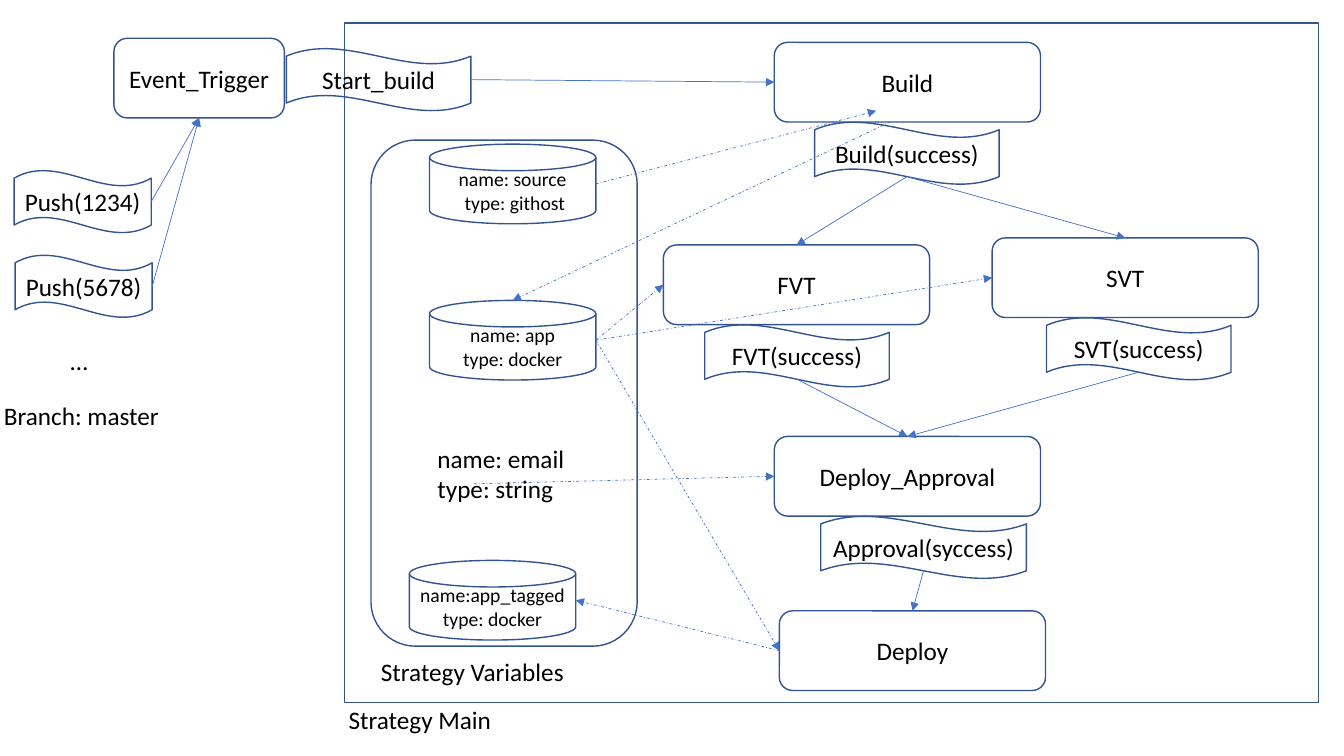
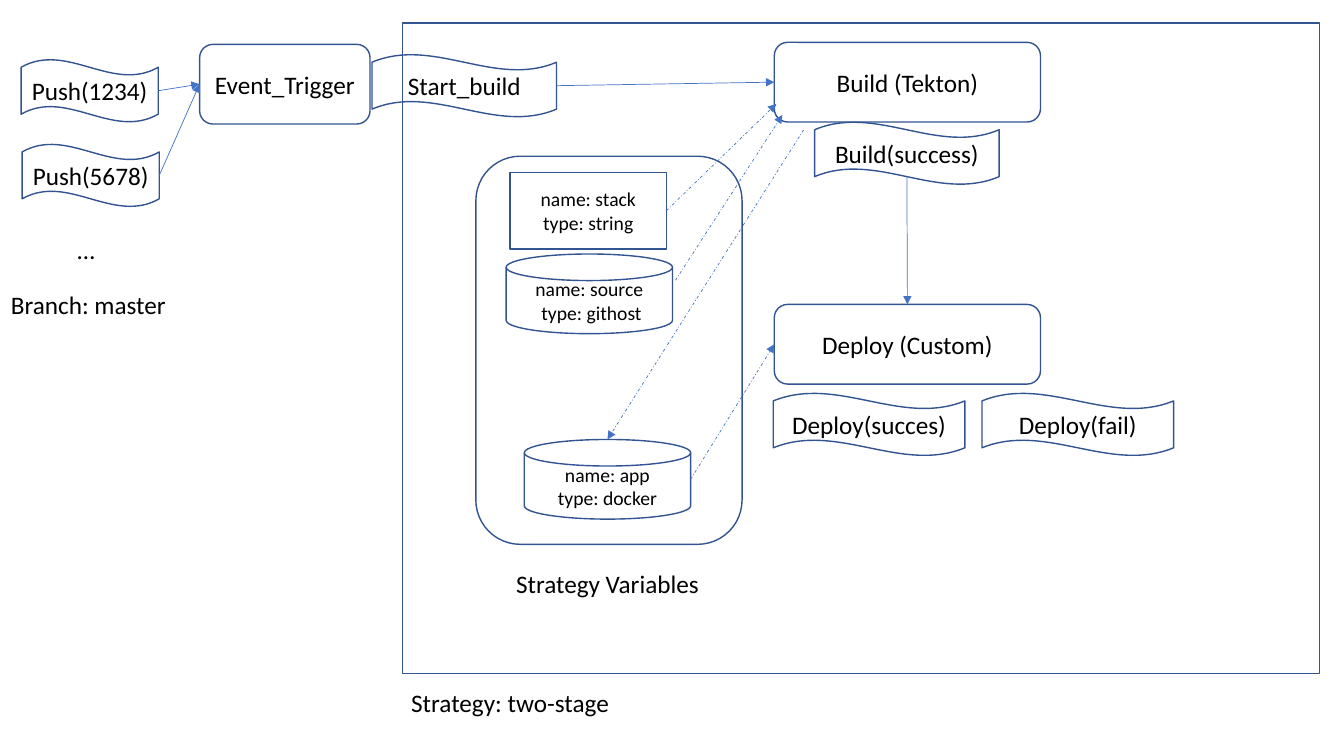
import pptx
import pptx.util
import pptx.dml.color
import pptx.enum.dml
import pptx.enum.shapes
import pptx.enum.text
import pptx.oxml.ns
import lxml.etree
from dataclasses import dataclass

SHAPE = pptx.enum.shapes.MSO_SHAPE
ALIGN = pptx.enum.text.PP_ALIGN
ANCHOR = pptx.enum.text.MSO_ANCHOR
PX = 9144
TOP, LEFT, BOTTOM, RIGHT = range(4)


@dataclass(frozen=True)
class Theme:
    font: str = "Calibri"
    ink: str = "000000"
    outline: str = "325491"
    arrow: str = "4472C4"
    body: float = 18
    small: float = 14
    outline_width: float = 1
    arrow_width: float = 0.5


THEME = Theme()

KINDS = {
    "stage": (SHAPE.ROUNDED_RECTANGLE, 264, 79, THEME.body),
    "trigger": (SHAPE.ROUNDED_RECTANGLE, 169, 79, THEME.body),
    "event": (SHAPE.WAVE, 183, 62, THEME.body),
    "push": (SHAPE.WAVE, 136, 62, THEME.body),
    "approval": (SHAPE.WAVE, 204, 62, THEME.body),
    "outcome": (SHAPE.WAVE, 190, 62, THEME.body),
    "resource": (SHAPE.FLOWCHART_MAGNETIC_DISK, 165, 79, THEME.small),
    "value": (SHAPE.RECTANGLE, 155, 76, THEME.small),
}

PUSHES = {
    "push1": ("push", 14, 169, "Push(1234)"),
    "push2": ("push", 15, 253, "Push(5678)"),
}
PUSH_LABELS = [
    ("…", 60, 338, 38, 40),
    ("Branch: master", -6, 392, 175, 40),
]
STARTERS = {
    "trigger": ("trigger", 113, 38, "Event_Trigger"),
    "start": ("event", 284, 48, "Start_build"),
}
BUILT = {"built": ("event", 808, 121, "Build(success)")}
START_LINK = (("start", RIGHT), ("build", LEFT))

SOURCE_TEXT = "name: source\n type: githost"
APP_TEXT = "name: app\ntype: docker"

SLIDES = [
    {
        "push_shift": (0, 0),
        "start_shift": (0, 0),
        "nodes": {
            "build": ("stage", 768, 42, "Build"),
            "fvt": ("stage", 658, 243, "FVT"),
            "svt": ("stage", 984, 236, "SVT"),
            "approve": ("stage", 768, 433, "Deploy_Approval"),
            "deploy": ("stage", 773, 606, "Deploy"),
            "fvt_done": ("event", 699, 322, "FVT(success)"),
            "svt_done": ("event", 1038, 315, "SVT(success)"),
            "approved": ("approval", 814, 512, "Approval(syccess)"),
            "source": ("resource", 426, 143, SOURCE_TEXT),
            "app": ("resource", 426, 298, APP_TEXT),
            "tagged": ("resource", 406, 556, "name:app_tagged\ntype: docker"),
        },
        "frames": [
            (SHAPE.RECTANGLE, 342, 23, 966, 674),
            (SHAPE.ROUNDED_RECTANGLE, 368, 139, 264, 502),
        ],
        "labels": [
            ("Strategy Main", 336, 694, 163, 40),
            ("Strategy Variables", 368, 646, 203, 40),
            ("name: email\ntype: string", 424, 435, 168, 71),
        ],
        "flow": [
            (("push1", RIGHT), ("trigger", BOTTOM)),
            (("push2", RIGHT), ("trigger", BOTTOM)),
            (("built", BOTTOM), ("fvt", TOP)),
            (("built", BOTTOM), ("svt", TOP)),
            (("fvt_done", BOTTOM), ("approve", TOP)),
            (("svt_done", BOTTOM), ("approve", TOP)),
            (("approved", BOTTOM), ("deploy", TOP)),
        ],
        "data": [
            (("source", RIGHT), (869, 110)),
            ((883, 121), ("app", TOP)),
            (("app", RIGHT), ("fvt", LEFT)),
            (("app", RIGHT), ("svt", LEFT)),
            (("app", RIGHT), ("deploy", LEFT)),
            (("deploy", LEFT), ("tagged", RIGHT)),
            ((470, 480), ("approve", LEFT)),
        ],
    },
    {
        "push_shift": (7, -110),
        "start_shift": (85, 6),
        "nodes": {
            "build": ("stage", 768, 42, "Build (Tekton)"),
            "deploy": ("stage", 768, 302, "Deploy (Custom)"),
            "success": ("outcome", 767, 390, "Deploy(succes)"),
            "fail": ("outcome", 974, 390, "Deploy(fail)"),
            "stack": ("value", 506, 171, "name: stack\ntype: string"),
            "source": ("resource", 502, 252, SOURCE_TEXT),
            "app": ("resource", 520, 436, APP_TEXT),
        },
        "frames": [
            (SHAPE.RECTANGLE, 399, 23, 910, 645),
            (SHAPE.ROUNDED_RECTANGLE, 472, 155, 264, 385),
        ],
        "labels": [
            ("Strategy: two-stage", 398, 677, 218, 40),
            ("Strategy Variables", 502, 559, 203, 40),
        ],
        "flow": [
            (("push1", RIGHT), ("trigger", LEFT)),
            (("push2", RIGHT), ("trigger", LEFT)),
            (("built", BOTTOM), ("deploy", TOP)),
        ],
        "data": [
            (("stack", RIGHT), (770, 103)),
            ((670, 278), (776, 114)),
            ((797, 129), ("app", TOP)),
            (("app", RIGHT), ("deploy", LEFT)),
        ],
    },
]


def emu(*lengths):
    return [pptx.util.Emu(n * PX) for n in lengths]


def rgb(value):
    return pptx.dml.color.RGBColor.from_string(value)


def write(tf, text, size, align):
    tf.text = text
    formats = {"name": THEME.font, "size": pptx.util.Pt(size)}
    for p in tf.paragraphs:
        p.alignment = align
        for r in p.runs:
            for key, value in formats.items():
                setattr(r.font, key, value)
            r.font.color.rgb = rgb(THEME.ink)


def add_outline(s, preset, x, y, w, h):
    sp = s.shapes.add_shape(preset, *emu(x, y, w, h))
    sp.shadow.inherit = False
    sp.fill.background()
    sp.line.color.rgb = rgb(THEME.outline)
    sp.line.width = pptx.util.Pt(THEME.outline_width)
    return sp


def add_node(s, kind, x, y, text):
    preset, w, h, size = KINDS[kind]
    sp = add_outline(s, preset, x, y, w, h)
    sp.text_frame.vertical_anchor = ANCHOR.MIDDLE
    write(sp.text_frame, text, size, ALIGN.CENTER)
    return sp


def add_label(s, text, x, y, w, h):
    tf = s.shapes.add_textbox(*emu(x, y, w, h)).text_frame
    tf.word_wrap = "\n" in text
    write(tf, text, THEME.body, ALIGN.LEFT)


def locate(end, shapes):
    name, side = end
    if name not in shapes:
        return emu(*end)
    sp = shapes[name]
    inset = sp.height // 8 if sp.auto_shape_type == SHAPE.WAVE else 0
    mid_x, mid_y = sp.left + sp.width // 2, sp.top + sp.height // 2
    return {
        TOP: (mid_x, sp.top + inset),
        LEFT: (sp.left, mid_y),
        BOTTOM: (mid_x, sp.top + sp.height - inset),
        RIGHT: (sp.left + sp.width, mid_y),
    }[side]


def add_link(s, start, finish, shapes, dashed):
    line = s.shapes.add_connector(
        pptx.enum.shapes.MSO_CONNECTOR.STRAIGHT,
        *locate(start, shapes), *locate(finish, shapes))
    boxes = (SHAPE.RECTANGLE, SHAPE.ROUNDED_RECTANGLE)
    for (name, side), join in ((start, line.begin_connect), (finish, line.end_connect)):
        if name in shapes and shapes[name].auto_shape_type in boxes:
            join(shapes[name], side)
    line.line.color.rgb = rgb(THEME.arrow)
    line.line.width = pptx.util.Pt(THEME.arrow_width)
    if dashed:
        line.line.dash_style = pptx.enum.dml.MSO_LINE.DASH_DOT
    qn = pptx.oxml.ns.qn
    sppr = line._element.spPr
    lxml.etree.SubElement(sppr.find(qn("a:ln")), qn("a:tailEnd"), type="triangle")
    lxml.etree.SubElement(sppr, qn("a:effectLst"))


def shifted(nodes, shift):
    dx, dy = shift
    return {name: (kind, x + dx, y + dy, text)
            for name, (kind, x, y, text) in nodes.items()}


def build_slide(prs, content):
    s = prs.slides.add_slide(prs.slide_layouts[6])
    dx, dy = content["push_shift"]
    nodes = {
        **shifted(PUSHES, (dx, dy)),
        **shifted(STARTERS, content["start_shift"]),
        **BUILT,
        **content["nodes"],
    }
    for frame in content["frames"]:
        add_outline(s, *frame)
    shapes = {name: add_node(s, *node) for name, node in nodes.items()}
    moved = [(text, x + dx, y + dy, w, h) for text, x, y, w, h in PUSH_LABELS]
    for label in moved + content["labels"]:
        add_label(s, *label)
    for links, dashed in (([START_LINK] + content["flow"], False), (content["data"], True)):
        for start, finish in links:
            add_link(s, start, finish, shapes, dashed)


def main():
    prs = pptx.Presentation()
    prs.slide_width, prs.slide_height = emu(1333, 750)
    for content in SLIDES:
        build_slide(prs, content)
    prs.save("out.pptx")


if __name__ == "__main__":
    main()
